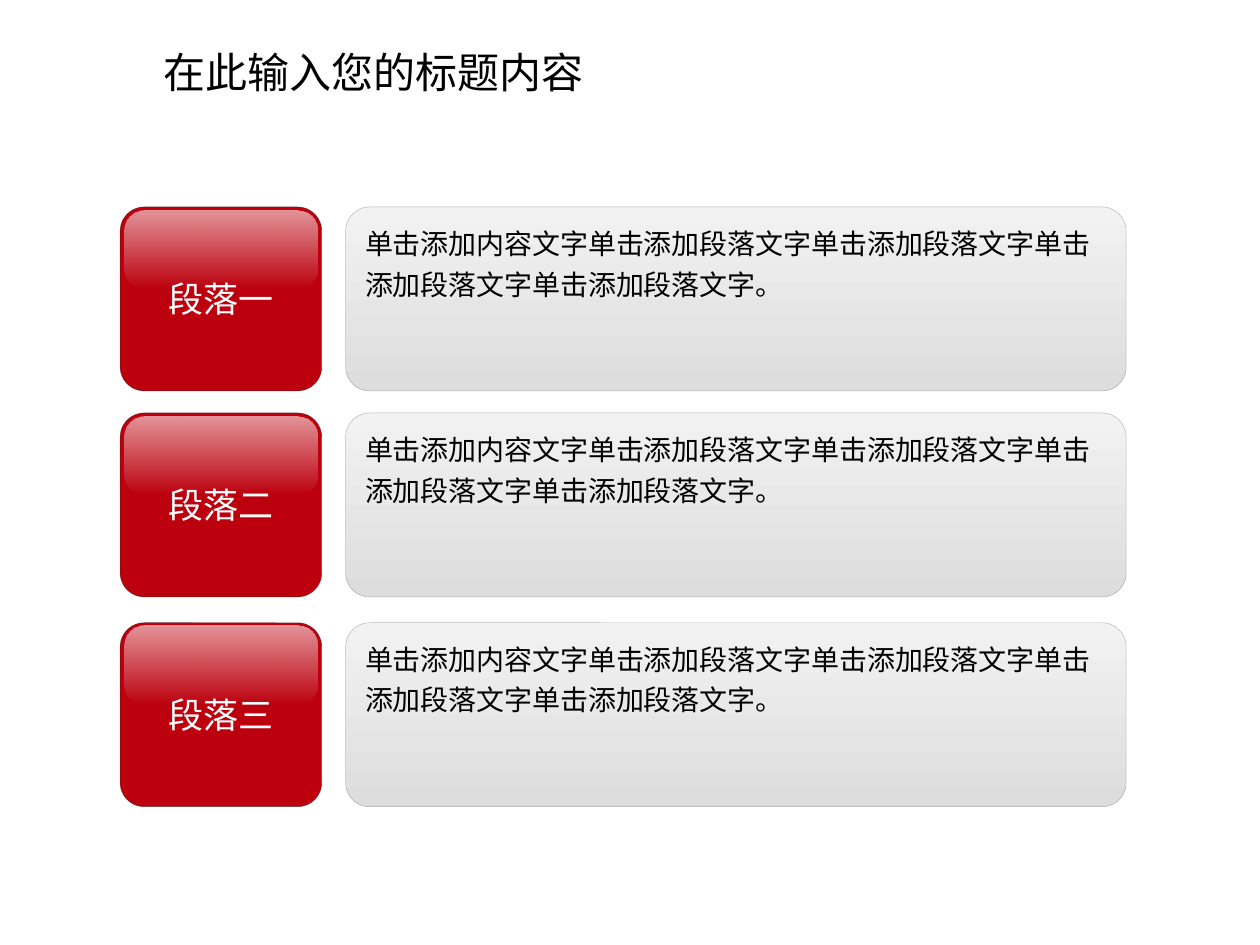
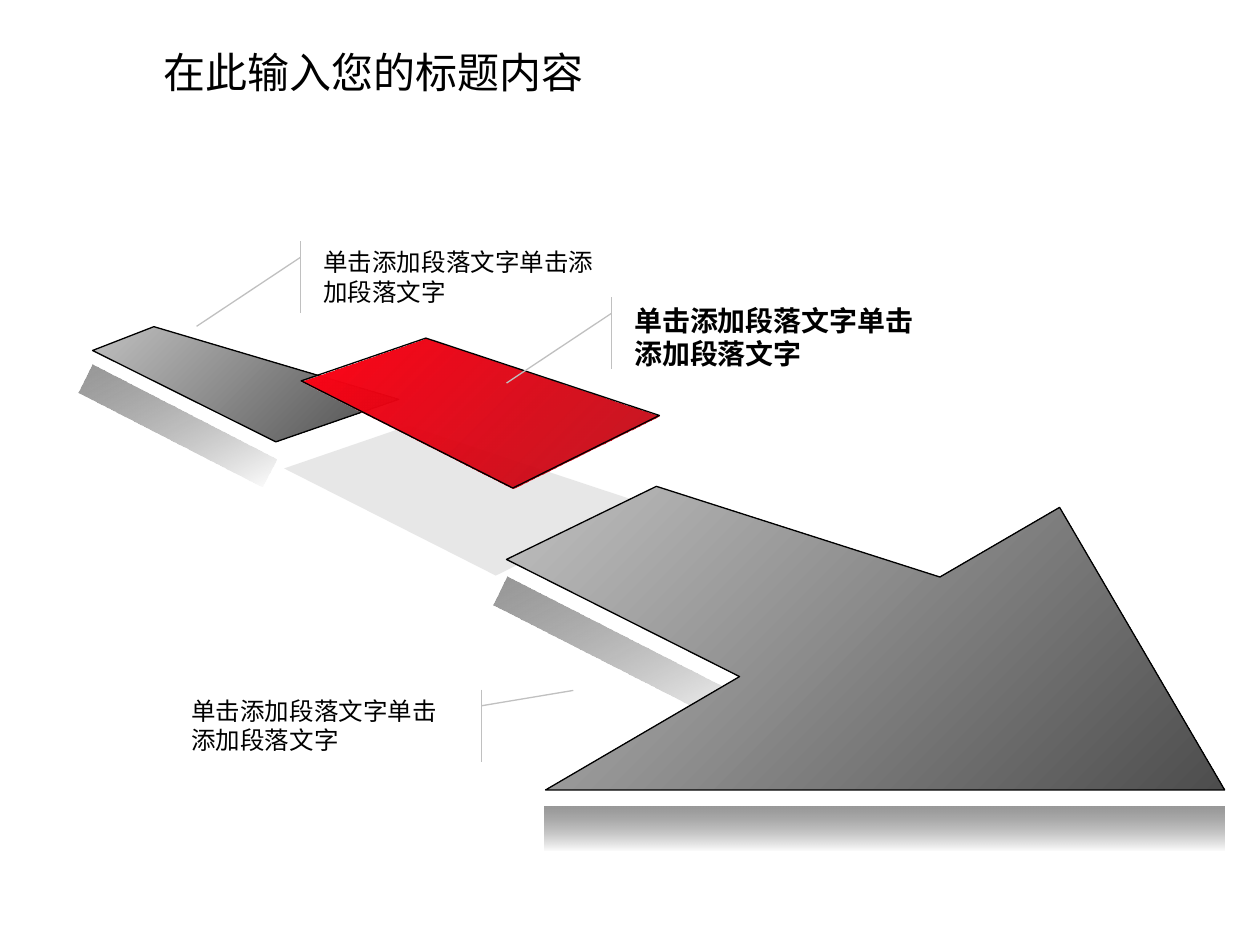
import pptx
import pptx.util
import pptx.dml.color
import pptx.enum.shapes
import pptx.enum.text
import pptx.oxml.ns
import lxml.etree

# Content. Lengths are cells of a square grid, 100 columns by 75 rows.
COLUMNS, ROWS = 100, 75
TITLE = "在此输入您的标题内容"
SECTION_TEXT = "单击添加内容文字" + "单击添加段落文字" * 4 + "。"
CALLOUT_TEXT = "单击添加段落文字" * 2

# Label and top row of each section
SECTIONS = [("段落一", 16.43), ("段落二", 32.78), ("段落三", 49.43)]

COLORS = {
    "red": "BC000D", "bright red": "FF0517", "white": "FFFFFF", "black": "000000",
    "pale": "F2F2F2", "light": "DDDDDD", "silver": "C0C0C0", "gray": "969696",
    "dark gray": "5F5F5F", "charcoal": "4D4D4D", "ink": "1C1C1C",
}

# Gradients: angle clockwise, then (color, opacity in percent) at both ends.
GRADIENTS = {
    "gloss": (90, ("white", 59), ("white", 0)),
    "panel": (90, ("pale", 100), ("light", 100)),
    "steel": (45, ("silver", 100), ("charcoal", 100)),
    "glow": (45, ("bright red", 100), ("red", 90)),
    "floor shadow": (90, ("gray", 100), ("dark gray", 0)),
    "slanted shadow": (63, ("gray", 100), ("dark gray", 0)),
}

TEXT_STYLES = {
    "title": {"size": 24, "color": "black"},
    "label": {"size": 20, "color": "white", "align": "CENTER", "anchor": "MIDDLE"},
    "body": {"size": 16, "color": "black", "line_spacing": 1.2},
    "callout": {"size": 14, "color": "black"},
    "strong callout": {"size": 16, "color": "black", "bold": True},
}

# Sections: the shared height and the columns of label and panel
SECTION_HEIGHT = 14.6
LABEL_LEFT, LABEL_WIDTH = 9.54, 16
PANEL_LEFT, PANEL_WIDTH = 27.43, 61.95
GLOSS_INSET, GLOSS_DROP, GLOSS_HEIGHT = 0.35, 0.25, 6.2

RED_STEP = [(40.7, 38.73), (52.33, 32.97), (33.8, 26.83), (23.9, 30.23)]
RED_STEP_SHADOW = [(x - 1.35, y + 6.95) for x, y in RED_STEP]
TAIL = [(7.35, 27.82), (21.9, 35.07), (31.65, 31.7), (12.22, 25.93)]
TAIL_SHADOW = [(20.8, 38.6), (21.95, 36.4), (7.38, 28.95), (6.23, 31.17)]
ARROW = [(40.2, 44.4), (58.7, 53.7), (43.3, 62.7), (97.2, 62.7),
         (84.1, 40.27), (74.6, 45.8), (52.1, 38.6)]
ARROW_SHADOW = [(58.3, 57.7), (59.5, 55.5), (40.3, 45.75), (39.2, 48)]
FLOOR_SHADOW = [(97.2, 67.5), (97.2, 64), (43.2, 64), (43.2, 67.5)]

# Outline, fill (gradient or color), opacity in percent, whether it has an edge
BACK_PIECES = [
    (TAIL, "steel", 100, True),
    (TAIL_SHADOW, "slanted shadow", 100, False),
    (RED_STEP_SHADOW, "silver", 38, False),
    (RED_STEP, "glow", 100, True),
]
FRONT_PIECES = [
    (ARROW_SHADOW, "slanted shadow", 100, False),
    (ARROW, "steel", 100, True),
    (FLOOR_SHADOW, "floor shadow", 100, False),
]

# Text left, top, width; bar column; point the leader shows; text style
CALLOUT_HEIGHT, LEADER_DROP = 5.72, 1.29
CALLOUTS = [
    (24.68, 19.13, 24.9, 23.85, (15.6, 25.9), "callout"),
    (49.35, 23.58, 24.95, 48.53, (40.2, 30.4), "strong callout"),
    (14.2, 54.73, 23.2, 38.2, (45.5, 54.8), "callout"),
]

CELL = pptx.util.Inches(0.1)


def grid(*lengths):
    return [round(length * CELL) for length in lengths]


def rgb(name):
    return pptx.dml.color.RGBColor.from_string(COLORS[name])


def set_opacity(parent, percents):
    """Give the colors below parent, in order, an opacity in percent."""
    tag = pptx.oxml.ns.qn("a:alpha")
    for color, percent in zip(parent.iter(pptx.oxml.ns.qn("a:srgbClr")), percents):
        if percent < 100:
            lxml.etree.SubElement(color, tag).set("val", str(percent * 1000))


def paint(shape, fill=None, opacity=100, edge=None, edge_width=0.75, edge_opacity=100):
    """Fill a shape with a gradient, a color or nothing, and set its edge."""
    shape.shadow.inherit = False
    if fill in GRADIENTS:
        angle, *ends = GRADIENTS[fill]
        shape.fill.gradient()
        shape.fill.gradient_angle = 360 - angle
        for stop, (name, _) in zip(shape.fill.gradient_stops, ends):
            stop.color.rgb = rgb(name)
        set_opacity(shape._element.spPr, [percent for _, percent in ends])
    elif fill:
        shape.fill.solid()
        shape.fill.fore_color.rgb = rgb(fill)
        set_opacity(shape._element.spPr, [opacity])
    else:
        shape.fill.background()
    if edge:
        shape.line.color.rgb = rgb(edge)
        shape.line.width = pptx.util.Pt(edge_width)
        set_opacity(shape.line._get_or_add_ln(), [edge_opacity])
    else:
        shape.line.fill.background()


def write(shape, text, style_name):
    style = TEXT_STYLES[style_name]
    frame = shape.text_frame
    paragraph = frame.paragraphs[0]
    paragraph.text = text
    font = paragraph.runs[0].font
    formats = [
        (frame, {"word_wrap": True,
                 "vertical_anchor": pptx.enum.text.MSO_ANCHOR[style.get("anchor", "TOP")]}),
        (paragraph, {"alignment": pptx.enum.text.PP_ALIGN[style.get("align", "LEFT")],
                     "line_spacing": style.get("line_spacing")}),
        (font, {"name": "Arial", "size": pptx.util.Pt(style["size"]),
                "bold": style.get("bold", False)}),
    ]
    for target, values in formats:
        for name, value in values.items():
            setattr(target, name, value)
    font.color.rgb = rgb(style["color"])


def add_preset(shapes, preset, box, adjustments, **look):
    shape = shapes.add_shape(pptx.enum.shapes.MSO_SHAPE[preset], *grid(*box))
    for index, adjustment in enumerate(adjustments):
        shape.adjustments[index] = adjustment
    paint(shape, **look)
    return shape


def add_piece(slide, points, fill, opacity, has_edge):
    start, *others = [grid(*point) for point in points]
    builder = slide.shapes.build_freeform(*start)
    builder.add_line_segments(others, close=True)
    paint(builder.convert_to_shape(), fill, opacity, "black" if has_edge else None)


def add_section(slide, label, top):
    group = slide.shapes.add_group_shape()
    badge = add_preset(
        group.shapes, "ROUNDED_RECTANGLE",
        (LABEL_LEFT, top, LABEL_WIDTH, SECTION_HEIGHT), [0.131],
        fill="red", edge="ink", edge_width=0.25, edge_opacity=57)
    write(badge, label, "label")
    add_preset(
        group.shapes, "ROUNDED_RECTANGLE",
        (LABEL_LEFT + GLOSS_INSET, top + GLOSS_DROP,
         LABEL_WIDTH - 2 * GLOSS_INSET, GLOSS_HEIGHT), [0.256], fill="gloss")
    panel = add_preset(
        slide.shapes, "ROUNDED_RECTANGLE",
        (PANEL_LEFT, top, PANEL_WIDTH, SECTION_HEIGHT), [0.131],
        fill="panel", edge="gray", edge_width=0.25, edge_opacity=68)
    write(panel, SECTION_TEXT, "body")


def add_callout(slide, left, top, width, bar, target, style_name):
    """Add a text with an accent bar and a leader from the bar to the target."""
    target_x, target_y = target
    adjustments = [LEADER_DROP / CALLOUT_HEIGHT, (bar - left) / width,
                   (target_y - top) / CALLOUT_HEIGHT, (target_x - left) / width]
    callout = add_preset(
        slide.shapes, "LINE_CALLOUT_1_ACCENT_BAR",
        (left, top, width, CALLOUT_HEIGHT), adjustments, edge="silver")
    write(callout, CALLOUT_TEXT, style_name)


def add_slide(presentation):
    slide = presentation.slides.add_slide(presentation.slide_layouts[6])
    write(slide.shapes.add_textbox(*grid(12, 3.2, 52.6, 5)), TITLE, "title")
    return slide


def main():
    presentation = pptx.Presentation()
    presentation.slide_width, presentation.slide_height = grid(COLUMNS, ROWS)

    sections_slide = add_slide(presentation)
    for section in SECTIONS:
        add_section(sections_slide, *section)

    arrow_slide = add_slide(presentation)
    for piece in BACK_PIECES:
        add_piece(arrow_slide, *piece)
    for callout in CALLOUTS:
        add_callout(arrow_slide, *callout)
    for piece in FRONT_PIECES:
        add_piece(arrow_slide, *piece)

    presentation.save("out.pptx")


if __name__ == "__main__":
    main()
